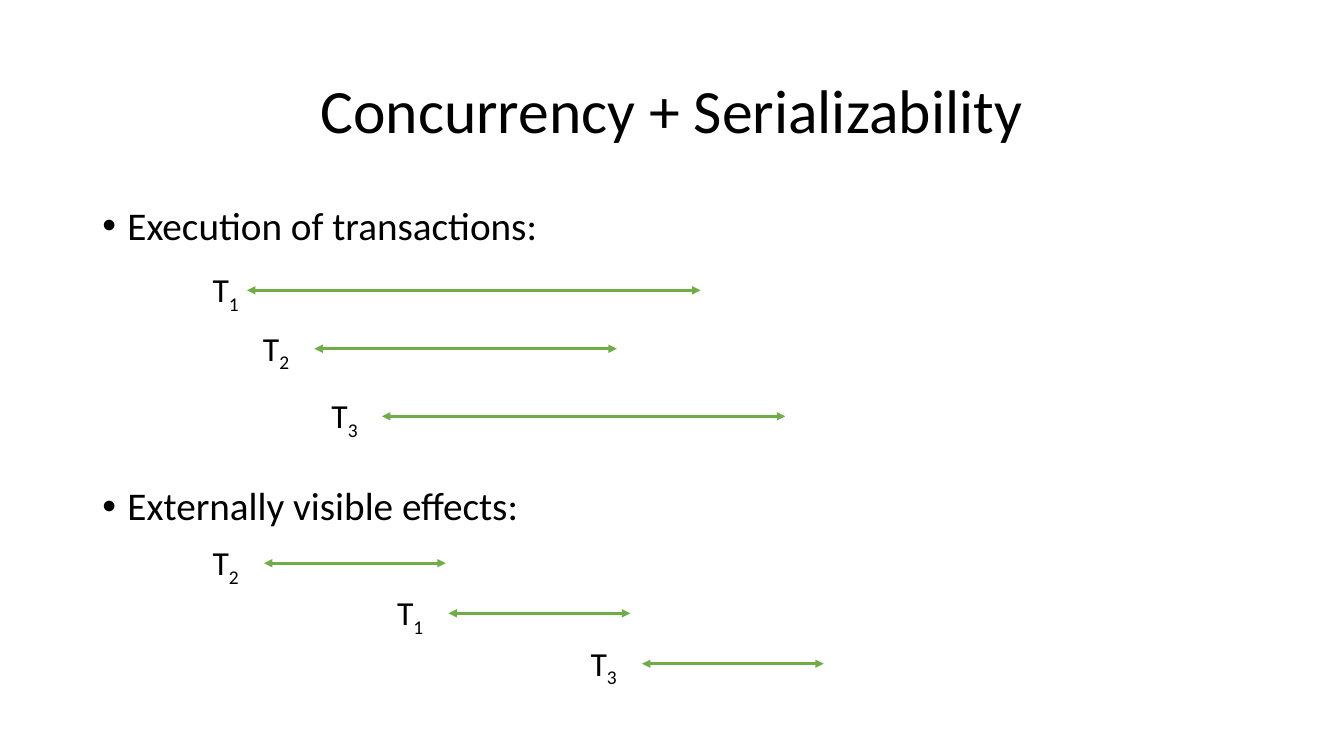
from dataclasses import dataclass

from lxml.etree import SubElement
from pptx import Presentation
from pptx.dml.color import RGBColor
from pptx.enum.shapes import MSO_CONNECTOR as Connector
from pptx.enum.text import MSO_ANCHOR as Anchor, MSO_AUTO_SIZE as AutoSize, PP_ALIGN as Align
from pptx.oxml.ns import qn
from pptx.slide import Slide
from pptx.text.text import TextFrame, _Paragraph as Paragraph, _Run as Run
from pptx.util import Pt

COLORS = {"text": "000000", "arrow": "70AD47"}
FONT = "Calibri"
LABEL_RISE = 18.5
EFFECT_LENGTH = 129.8
EFFECT_GAP = 43.9


@dataclass(frozen=True)
class Transaction:
    number: int
    label_left: float
    start: float
    end: float
    middle: float


def effect(number: int, label_left: float, middle: float) -> Transaction:
    start = label_left + EFFECT_GAP
    return Transaction(number, label_left, start, start + EFFECT_LENGTH, middle)


EXECUTIONS = [
    Transaction(1, 144.7, 176.4, 500.4, 207.4),
    Transaction(2, 180.7, 224.6, 440.6, 249.1),
    Transaction(3, 229.7, 272.9, 560.9, 297.4),
]
EFFECTS = [effect(2, 144.7, 402.3), effect(1, 276.5, 438.1), effect(3, 414.7, 474.1)]


def add_text_box(
    slide: Slide, left: float, top: float, width: float, height: float, wrap: bool = True
) -> TextFrame:
    box = slide.shapes.add_textbox(Pt(left), Pt(top), Pt(width), Pt(height))
    box.text_frame.word_wrap = wrap
    return box.text_frame


def add_run(paragraph: Paragraph, text: str, size: float) -> Run:
    run = paragraph.add_run()
    run.text = text
    run.font.name = FONT
    run.font.size = Pt(size)
    run.font.color.rgb = RGBColor.from_string(COLORS["text"])
    return run


def add_title(slide: Slide, text: str) -> None:
    frame = add_text_box(slide, 66, 28.8, 828, 104.4)
    frame.vertical_anchor = Anchor.MIDDLE
    paragraph = frame.paragraphs[0]
    paragraph.alignment = Align.CENTER
    paragraph.line_spacing = 0.9
    add_run(paragraph, text, 44)


def add_bullet(paragraph: Paragraph, text: str, space_before: float) -> None:
    paragraph.line_spacing = 0.9
    paragraph.space_before = Pt(space_before)
    properties = paragraph._p.get_or_add_pPr()
    properties.set("marL", str(Pt(18)))
    properties.set("indent", str(Pt(-18)))
    SubElement(properties, qn("a:buFont"), typeface="Arial")
    SubElement(properties, qn("a:buChar"), char="•")
    add_run(paragraph, text, 28)


def add_arrow(slide: Slide, start: float, end: float, middle: float) -> None:
    arrow = slide.shapes.add_connector(
        Connector.STRAIGHT, Pt(start), Pt(middle), Pt(end), Pt(middle)
    )
    arrow.line.width = Pt(2)
    arrow.line.color.rgb = RGBColor.from_string(COLORS["arrow"])
    line = arrow.line._get_or_add_ln()
    for tip in ("a:headEnd", "a:tailEnd"):
        SubElement(line, qn(tip), type="triangle")
    SubElement(arrow._element.spPr, qn("a:effectLst"))


def add_transaction(slide: Slide, transaction: Transaction) -> None:
    add_arrow(slide, transaction.start, transaction.end, transaction.middle)
    top = transaction.middle - LABEL_RISE
    frame = add_text_box(slide, transaction.label_left, top, 34.6, 36, wrap=False)
    frame.auto_size = AutoSize.SHAPE_TO_FIT_TEXT
    paragraph = frame.paragraphs[0]
    add_run(paragraph, "T", 24)
    subscript = add_run(paragraph, str(transaction.number), 24)
    subscript.font._element.set("baseline", "-25000")


def main() -> None:
    presentation = Presentation()
    presentation.slide_width = Pt(960)
    presentation.slide_height = Pt(540)
    slide = presentation.slides.add_slide(presentation.slide_layouts[6])
    add_title(slide, "Concurrency + Serializability")
    body = add_text_box(slide, 66, 144, 828, 342.7)
    add_bullet(body.paragraphs[0], "Execution of transactions:", 10)
    add_bullet(body.add_paragraph(), "Externally visible effects:", 170)
    for transaction in EXECUTIONS + EFFECTS:
        add_transaction(slide, transaction)
    presentation.save("out.pptx")


if __name__ == "__main__":
    main()
